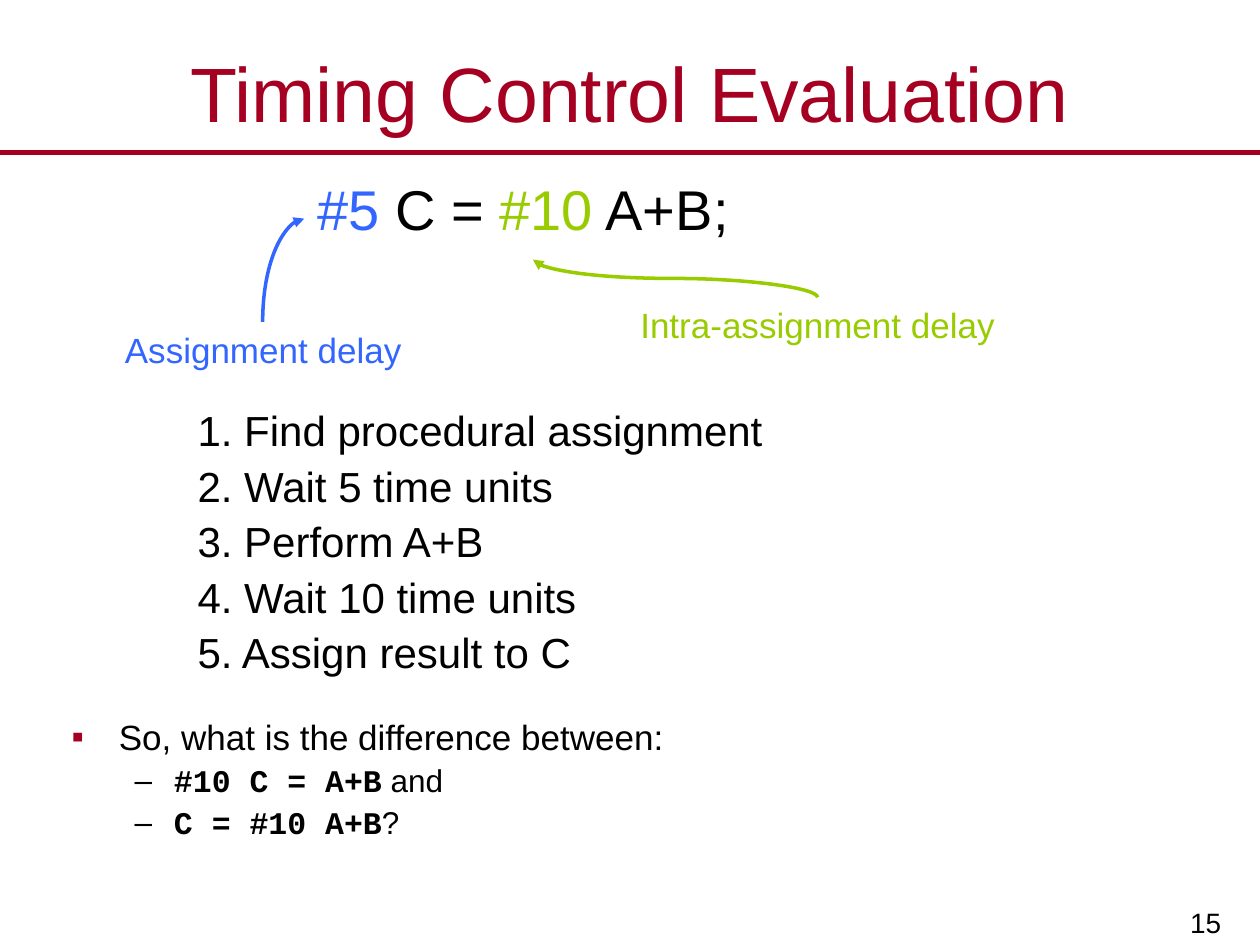
from lxml import etree
from pptx import Presentation
from pptx.dml.color import RGBColor
from pptx.enum import shapes, text
from pptx.oxml import ns
from pptx.util import Pt

COLORS = {
    "crimson": "A50021",
    "blue": "3366FF",
    "green": "99CC00",
    "black": "000000",
}
SANS, MONO = "Arial", "Courier New"
STEPS = [
    "Find procedural assignment",
    "Wait 5 time units",
    "Perform A+B",
    "Wait 10 time units",
    "Assign result to C",
]


def color(name):
    return RGBColor.from_string(COLORS[name])


def add_box(page, left, top, width, height, anchor=text.MSO_ANCHOR.TOP):
    box = page.shapes.add_textbox(Pt(left), Pt(top), Pt(width), Pt(height))
    frame = box.text_frame
    frame.word_wrap = True
    frame.vertical_anchor = anchor
    return frame


def add_span(para, words, size, tint="black", face=SANS, bold=False):
    span = para.add_run()
    span.text = words
    span.font.size = Pt(size)
    span.font.name = face
    span.font.bold = bold
    span.font.color.rgb = color(tint)


def set_indent(para, margin, hanging, bullet=None, tint="black"):
    props = para._p.get_or_add_pPr()
    props.set("marL", str(Pt(margin)))
    props.set("indent", str(Pt(-hanging)))
    if bullet:
        fill = etree.SubElement(props, ns.qn("a:buClr"))
        etree.SubElement(fill, ns.qn("a:srgbClr"), val=COLORS[tint])
        etree.SubElement(props, ns.qn("a:buFont"), typeface=SANS)
        etree.SubElement(props, ns.qn("a:buChar"), char=bullet)
    else:
        etree.SubElement(props, ns.qn("a:buNone"))
    para.line_spacing = 0.9


def add_label(page, words, left, top, width, height, size, tint,
              align=text.PP_ALIGN.CENTER, anchor=text.MSO_ANCHOR.TOP):
    para = add_box(page, left, top, width, height, anchor).paragraphs[0]
    para.alignment = align
    add_span(para, words, size, tint)


def add_line(page, kind, left, top, width, height, tint, weight):
    line = page.shapes.add_connector(
        kind, Pt(left), Pt(top), Pt(left + width), Pt(top + height))
    line.line.color.rgb = color(tint)
    line.line.width = Pt(weight)
    etree.SubElement(line._element.spPr, ns.qn("a:effectLst"))
    return line


def add_curved_arrow(page, preset, left, top, width, height, tint, turn, flip=False):
    """The frame is given before it is turned by the angle in degrees."""
    arrow = add_line(page, shapes.MSO_CONNECTOR.CURVE,
                     left, top, width, height, tint, 2)
    props = arrow._element.spPr
    props.find(ns.qn("a:prstGeom")).set("prst", preset)
    frame = props.find(ns.qn("a:xfrm"))
    frame.set("rot", str(turn * 60000))
    if flip:
        frame.set("flipH", "1")
    etree.SubElement(props.find(ns.qn("a:ln")), ns.qn("a:tailEnd"), type="triangle")


def add_expression(page):
    para = add_box(page, 174.24, 100.8, 260.64, 47.52).paragraphs[0]
    set_indent(para, 27, 27)
    for words, tint in [("#5", "blue"), (" C = ", "black"),
                        ("#10", "green"), (" A+B;", "black")]:
        add_span(para, words, 32, tint)


def add_body(page):
    frame = add_box(page, 33.84, 231.12, 614.88, 270.72)

    # Evaluation steps
    for number, step in enumerate(STEPS, 1):
        para = frame.paragraphs[0] if number == 1 else frame.add_paragraph()
        para.level = 2
        set_indent(para, 90, 18)
        if number > 1:
            para.space_before = Pt(5.8)
        add_span(para, f"{number}. {step}", 24)

    # Closing question
    para = frame.add_paragraph()
    set_indent(para, 27, 27, "▪", "crimson")
    para.space_before = Pt(24)
    add_span(para, "So, what is the difference between:", 20)

    # Statements to compare
    for code, rest in [("#10 C = A+B", " and"), ("C = #10 A+B", "?")]:
        para = frame.add_paragraph()
        para.level = 1
        set_indent(para, 58.5, 22.5, "–")
        para.space_before = Pt(4.5)
        add_span(para, code, 18, face=MONO, bold=True)
        add_span(para, rest, 18)


def main():
    deck = Presentation()
    deck.slide_width, deck.slide_height = Pt(720), Pt(540)
    page = deck.slides.add_slide(deck.slide_layouts[6])

    # Rule, page number and title
    add_line(page, shapes.MSO_CONNECTOR.STRAIGHT, 0, 87.12, 720, 0, "crimson", 3)
    add_label(page, "15", 561.6, 498.96, 143.28, 41.04, 16, "black",
              text.PP_ALIGN.RIGHT, text.MSO_ANCHOR.BOTTOM)
    add_label(page, "Timing Control Evaluation", 0, 21.6, 720, 61.92, 44,
              "crimson", anchor=text.MSO_ANCHOR.MIDDLE)

    # Steps and question
    add_body(page)

    # Expression with its two delays
    add_expression(page)
    add_label(page, "Assignment delay", 58.32, 184.32, 184.32, 30.96, 20, "blue")
    add_label(page, "Intra-assignment delay", 337.68, 169.92, 259.2, 30.96, 20, "green")
    add_curved_arrow(page, "curvedConnector2", 132.48, 142.56, 59.04, 23.76, "blue", 270)
    add_curved_arrow(page, "curvedConnector3", 375.12, 77.76, 21.6, 162.72,
                     "green", 90, flip=True)

    deck.save("out.pptx")


if __name__ == "__main__":
    main()
